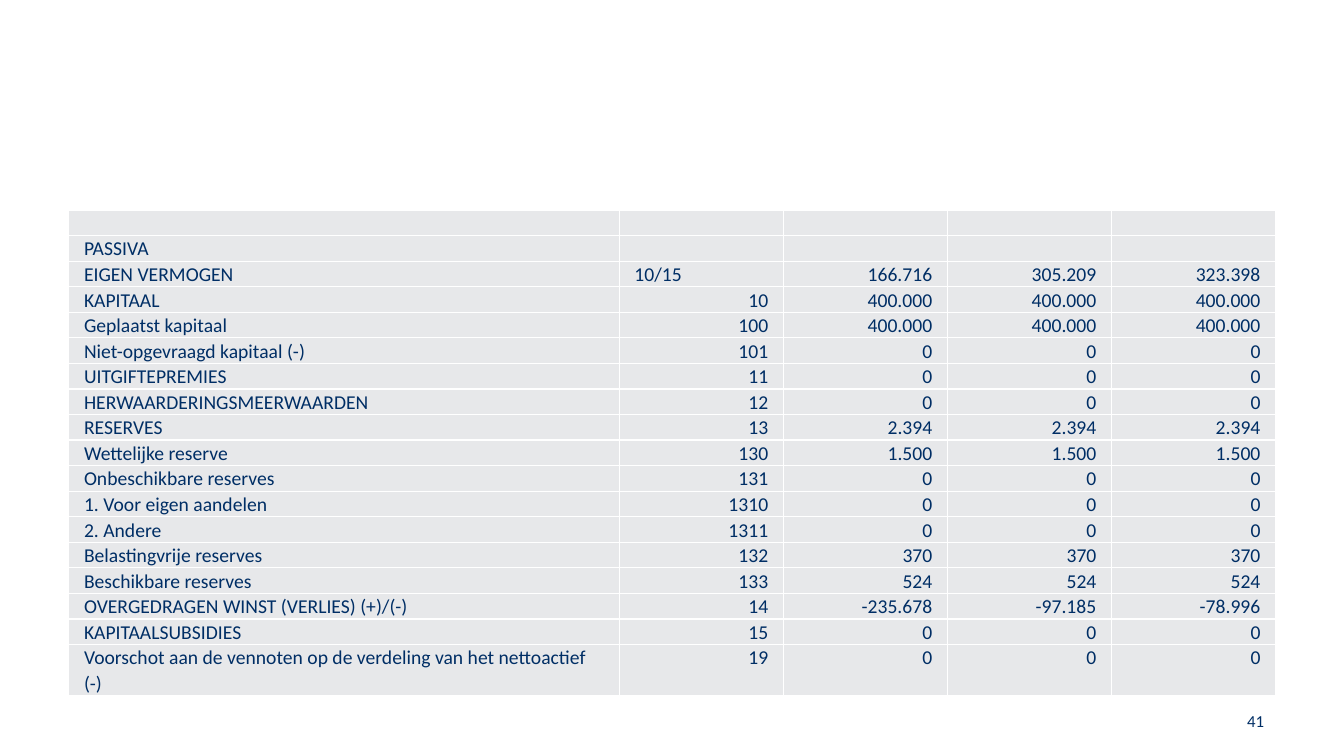
from dataclasses import dataclass

from lxml.etree import SubElement
from pptx import Presentation
from pptx.dml.color import RGBColor
from pptx.enum.text import MSO_ANCHOR, PP_ALIGN
from pptx.oxml.ns import qn
from pptx.util import Pt


@dataclass(frozen=True)
class Theme:
    font: str = "Calibri"
    ink: str = "002E65"
    cell: str = "E7E8EA"
    border: str = "FFFFFF"
    table_size: int = 14
    number_size: int = 12


THEME = Theme()

# Balance sheet: label, account code, three yearly amounts
BALANCE = [
    ("", "", "", "", ""),
    ("PASSIVA", "", "", "", ""),
    ("EIGEN VERMOGEN", "10/15", "166.716", "305.209", "323.398"),
    ("KAPITAAL", "10", "400.000", "400.000", "400.000"),
    ("Geplaatst kapitaal", "100", "400.000", "400.000", "400.000"),
    ("Niet-opgevraagd kapitaal (-)", "101", "0", "0", "0"),
    ("UITGIFTEPREMIES", "11", "0", "0", "0"),
    ("HERWAARDERINGSMEERWAARDEN", "12", "0", "0", "0"),
    ("RESERVES", "13", "2.394", "2.394", "2.394"),
    ("Wettelijke reserve", "130", "1.500", "1.500", "1.500"),
    ("Onbeschikbare reserves", "131", "0", "0", "0"),
    ("1. Voor eigen aandelen", "1310", "0", "0", "0"),
    ("2. Andere", "1311", "0", "0", "0"),
    ("Belastingvrije reserves", "132", "370", "370", "370"),
    ("Beschikbare reserves", "133", "524", "524", "524"),
    ("OVERGEDRAGEN WINST (VERLIES) (+)/(-)", "14", "-235.678", "-97.185", "-78.996"),
    ("KAPITAALSUBSIDIES", "15", "0", "0", "0"),
    ("Voorschot aan de vennoten op de verdeling van het nettoactief (-)",
     "19", "0", "0", "0"),
]
COLUMN_WIDTHS = [393.2] + [117.2] * 4
ROW_HEIGHT = 18


def style_paragraph(paragraph, size, align):
    paragraph.alignment = align
    font = paragraph.font
    font.name = THEME.font
    font.size = Pt(size)
    font.color.rgb = RGBColor.from_string(THEME.ink)


def add_borders(cell):
    properties = cell._tc.get_or_add_tcPr()
    for position, side in enumerate(("lnL", "lnR", "lnT", "lnB")):
        line = SubElement(properties, qn(f"a:{side}"), w=str(Pt(1)))
        fill = SubElement(line, qn("a:solidFill"))
        SubElement(fill, qn("a:srgbClr"), val=THEME.border)
        properties.insert(position, line)  # borders come before the cell fill


def fill_cell(cell, text, align):
    cell.fill.solid()
    cell.fill.fore_color.rgb = RGBColor.from_string(THEME.cell)
    cell.margin_left = cell.margin_right = Pt(10.8)
    cell.margin_top = cell.margin_bottom = 0
    add_borders(cell)
    paragraph = cell.text_frame.paragraphs[0]
    if text:
        paragraph.text = text
    else:
        # An empty cell takes its line height from the end mark
        SubElement(paragraph._p, qn("a:endParaRPr"), sz=str(THEME.table_size * 100))
    paragraph.line_spacing = 1.07
    style_paragraph(paragraph, THEME.table_size, align)


def add_balance_table(slide, left, top):
    frame = slide.shapes.add_table(
        len(BALANCE), len(COLUMN_WIDTHS), Pt(left), Pt(top),
        Pt(sum(COLUMN_WIDTHS)), Pt(ROW_HEIGHT * len(BALANCE)))
    table = frame.table
    table.first_row = table.horz_banding = False
    for column, width in zip(table.columns, COLUMN_WIDTHS):
        column.width = Pt(width)
    for row, entries in zip(table.rows, BALANCE):
        row.height = Pt(ROW_HEIGHT)
        for index, (cell, text) in enumerate(zip(row.cells, entries)):
            is_number = index > 0 and "/" not in text
            fill_cell(cell, text, PP_ALIGN.RIGHT if is_number else PP_ALIGN.LEFT)


def add_page_number(slide, number, left, top, width, height):
    box = slide.shapes.add_textbox(Pt(left), Pt(top), Pt(width), Pt(height))
    frame = box.text_frame
    frame.word_wrap = True
    frame.vertical_anchor = MSO_ANCHOR.MIDDLE
    paragraph = frame.paragraphs[0]
    paragraph.text = number
    style_paragraph(paragraph, THEME.number_size, PP_ALIGN.RIGHT)


def main():
    deck = Presentation()
    deck.slide_width, deck.slide_height = Pt(960), Pt(540)
    slide = deck.slides.add_slide(deck.slide_layouts[6])
    add_balance_table(slide, 49.2, 150.3)
    add_page_number(slide, "41", 694, 500.5, 216, 28.8)
    deck.save("out.pptx")


if __name__ == "__main__":
    main()
